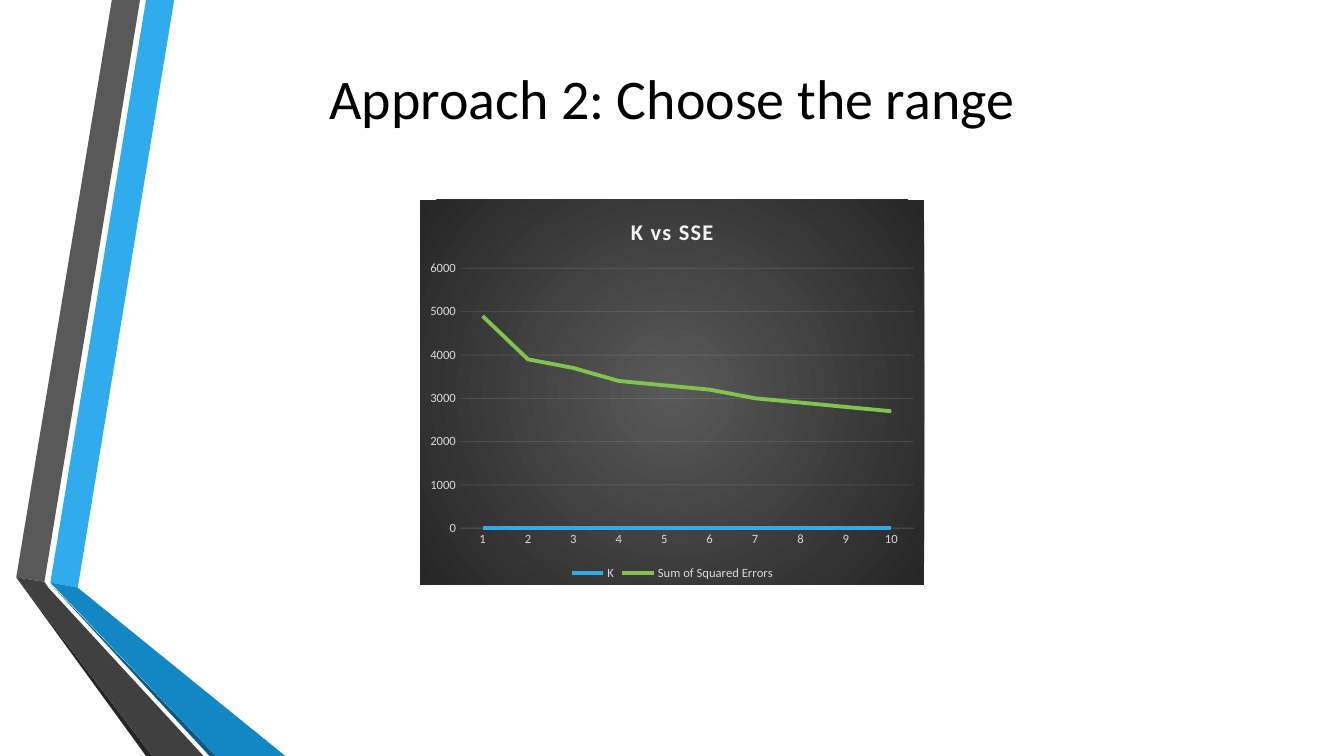
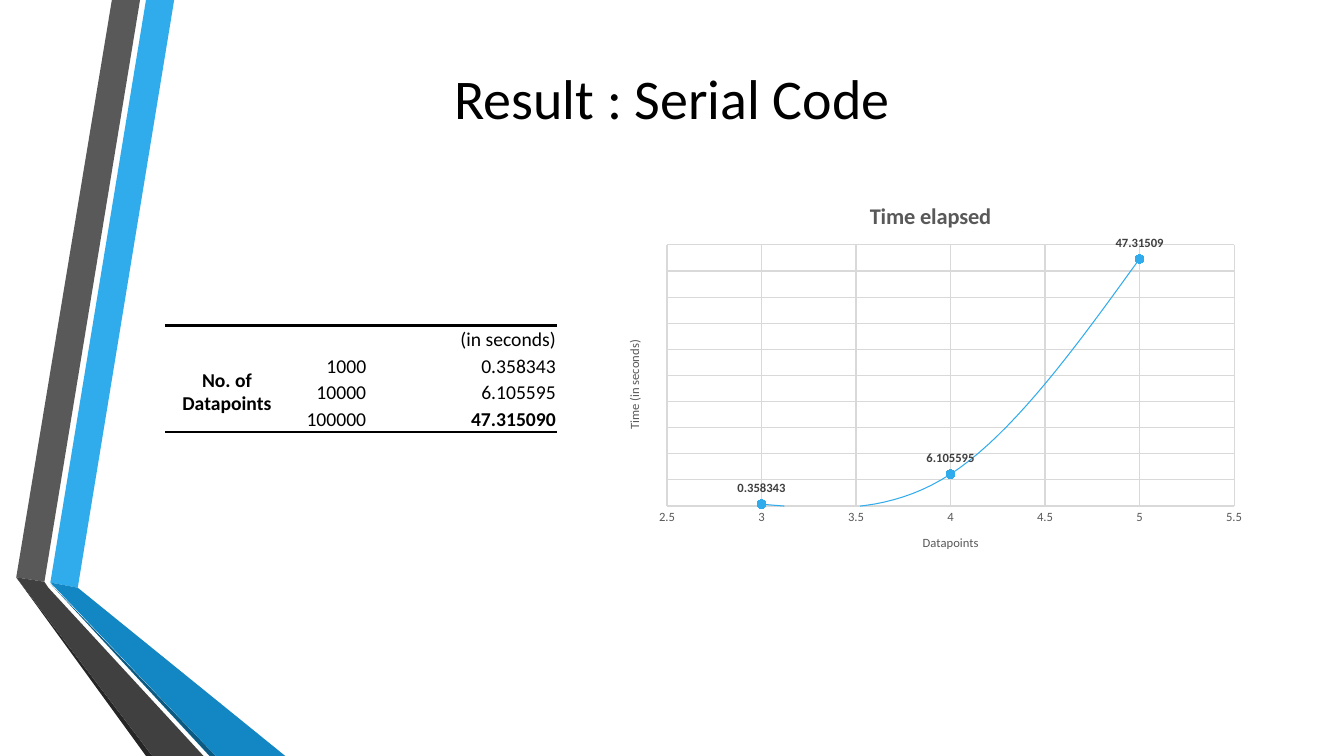
import pptx
import pptx.chart.data
import pptx.dml.color
import pptx.enum.chart
import pptx.enum.text
import pptx.oxml
import pptx.oxml.ns
import pptx.util
from lxml import etree

Cm = pptx.util.Cm
Pt = pptx.util.Pt
qn = pptx.oxml.ns.qn

FONT = "Calibri"
SLIDE_WIDTH, SLIDE_HEIGHT = 33.87, 19.05
NO_TABLE_STYLE = "{2D5ABB26-0587-4C30-8999-92F81FD0307C}"
COLORS = {
    "black": "000000", "white": "FFFFFF", "sky": "30ACEC", "blue": "1287C3",
    "navy": "0C5A82", "green": "80C34F", "marker": "27AFF5", "grey": "595959",
    "charcoal": "404040", "soot": "262626", "silver": "D9D9D9", "pale": "F2F2F2",
}
BANDS = [
    ("sky", [(1.27, 14.68), (1.96, 14.81), (4.39, 0), (3.68, 0)]),
    ("grey", [(3.53, 0), (2.82, 0), (0.41, 14.55), (1.12, 14.66)]),
    ("soot", [(0.41, 14.55), (3.68, 19.05), (3.84, 19.05)]),
    ("navy", [(1.27, 14.71), (5.28, 19.05), (5.44, 19.05)]),
    ("blue", [(1.27, 14.68), (5.44, 19.05), (7.19, 19.05), (1.96, 14.81)]),
    ("charcoal", [(5.13, 19.05), (1.22, 14.81), (1.12, 14.66), (0.41, 14.55),
                  (3.84, 19.05)]),
]


def rgb(name):
    """Return the named colour as an RGBColor."""
    return pptx.dml.color.RGBColor.from_string(COLORS[name])


def style_font(font, size, color, bold=False):
    """Set typeface, size, colour and weight of a font."""
    font.name = FONT
    font.size = Pt(size)
    font.bold = bold
    font.color.rgb = rgb(color)


def style_line(line, color, width):
    """Set colour and width of a line."""
    line.color.rgb = rgb(color)
    line.width = Pt(width)


def set_text(text_frame, text, size, color, bold=False):
    """Write one paragraph and format its run."""
    text_frame.text = text
    style_font(text_frame.paragraphs[0].runs[0].font, size, color, bold)


def add_bands(slide, layout):
    """Build the folded ribbons and place them on the shared layout."""
    for number, (color, points) in enumerate(BANDS):
        corners = [(Cm(x), Cm(y)) for x, y in points]
        builder = slide.shapes.build_freeform(*corners[0], scale=1.0)
        builder.add_line_segments(corners[1:], close=True)
        band = builder.convert_to_shape()
        band.name = f"Band {number + 1}"
        band.shadow.inherit = False
        band.fill.solid()
        band.fill.fore_color.rgb = rgb(color)
        band.line.fill.background()
        band.element.nvSpPr.cNvPr.set("id", str(100 + number))
        layout.shapes.element.append(band.element)


def add_titled_slide(presentation, layout, title):
    """Add a slide with the centred title across its top."""
    slide = presentation.slides.add_slide(layout)
    shape = slide.shapes.title
    shape.left, shape.top = Cm(0), Cm(0)
    shape.width, shape.height = Cm(SLIDE_WIDTH), Cm(4.88)
    set_text(shape.text_frame, title, 40, "black")
    shape.text_frame.vertical_anchor = pptx.enum.text.MSO_ANCHOR.MIDDLE
    shape.text_frame.paragraphs[0].alignment = pptx.enum.text.PP_ALIGN.CENTER
    return slide


def add_chart(slide, kind, box, data, title, color):
    """Add a chart with a bold title and small text in one colour."""
    chart = slide.shapes.add_chart(kind, *map(Cm, box), data).chart
    style_font(chart.font, 9, color)
    chart.has_title = True
    set_text(chart.chart_title.text_frame, title, 16,
             "pale" if color == "silver" else color, bold=True)
    chart.has_legend = False
    chart.plots[0].vary_by_categories = False
    return chart


def scale_axis(axis, low, high, step):
    """Fix the range of an axis and drop its tick marks."""
    axis.minimum_scale, axis.maximum_scale, axis.major_unit = low, high, step
    axis.major_tick_mark = pptx.enum.chart.XL_TICK_MARK.NONE


def show_gridlines(axis, color):
    """Draw thin major gridlines."""
    axis.has_major_gridlines = True
    style_line(axis.major_gridlines.format.line, color, 0.75)


def fill_chart_radially(chart, inner, outer):
    """Give the chart area a gradient from its centre outwards."""
    properties = pptx.oxml.parse_xml(
        f'<c:spPr {pptx.oxml.ns.nsdecls("c", "a")}><a:gradFill><a:gsLst>'
        f'<a:gs pos="0"><a:srgbClr val="{COLORS[inner]}"/></a:gs>'
        f'<a:gs pos="100000"><a:srgbClr val="{COLORS[outer]}"/></a:gs></a:gsLst>'
        '<a:path path="circle"><a:fillToRect l="50000" t="50000" r="50000" '
        'b="50000"/></a:path></a:gradFill><a:ln><a:noFill/></a:ln></c:spPr>')
    chart.element.find(qn("c:txPr")).addprevious(properties)


def add_error_chart(slide):
    """Add the dark line chart of squared errors for each K."""
    data = pptx.chart.data.CategoryChartData()
    data.categories = [str(k) for k in range(1, 11)]
    data.add_series("K", [0] * 10)
    data.add_series("Sum of Squared Errors",
                    [4900, 3900, 3700, 3400, 3300, 3200, 3000, 2900, 2800, 2700])
    chart = add_chart(slide, pptx.enum.chart.XL_CHART_TYPE.LINE,
                      (10.59, 5.03, 12.7, 9.7), data, "K vs SSE", "silver")
    for run_properties in chart.chart_title.element.iter(qn("a:rPr")):
        run_properties.set("spc", "100")
    chart.has_legend = True
    chart.legend.position = pptx.enum.chart.XL_LEGEND_POSITION.BOTTOM
    chart.legend.include_in_layout = False
    for series, color in zip(chart.plots[0].series, ("sky", "green")):
        series.smooth = False
        style_line(series.format.line, color, 2.75)
    scale_axis(chart.value_axis, 0, 6000, 1000)
    show_gridlines(chart.value_axis, "pale")
    chart.value_axis.format.line.fill.background()
    chart.category_axis.major_tick_mark = pptx.enum.chart.XL_TICK_MARK.NONE
    style_line(chart.category_axis.format.line, "pale", 0.75)
    for color in chart.element.xpath(f'.//a:ln//a:srgbClr[@val="{COLORS["pale"]}"]'):
        etree.SubElement(color, qn("a:alpha")).set("val", "10000")
    fill_chart_radially(chart, "grey", "soot")


def add_time_chart(slide):
    """Add the smooth scatter chart of elapsed time."""
    data = pptx.chart.data.XyChartData()
    times = data.add_series("Time elapsed")
    for x, y in ((3, 0.358343), (4, 6.105595), (5, 47.31509)):
        times.add_data_point(x, y)
    chart = add_chart(slide, pptx.enum.chart.XL_CHART_TYPE.XY_SCATTER_SMOOTH,
                      (15.27, 4.62, 16.36, 9.78), data, "Time elapsed", "grey")
    for smooth in chart.element.iter(qn("c:smooth")):
        smooth.set("val", "1")

    series = chart.plots[0].series[0]
    style_line(series.format.line, "sky", 0.75)
    series.marker.style = pptx.enum.chart.XL_MARKER_STYLE.CIRCLE
    series.marker.size = 6
    series.marker.format.fill.solid()
    series.marker.format.fill.fore_color.rgb = rgb("marker")
    style_line(series.marker.format.line, "sky", 0.75)
    for index in range(3):
        label = series.points[index].data_label
        style_font(label.font, 9, "charcoal", bold=True)
        label.position = pptx.enum.chart.XL_LABEL_POSITION.ABOVE

    scale_axis(chart.category_axis, 2.5, 5.5, 0.5)
    scale_axis(chart.value_axis, 0, 50, 5)
    for axis, title in ((chart.category_axis, "Datapoints"),
                        (chart.value_axis, "Time (in seconds)")):
        show_gridlines(axis, "silver")
        set_text(axis.axis_title.text_frame, title, 9, "grey")
    style_line(chart.category_axis.format.line, "silver", 1)
    for body in chart.value_axis.axis_title.element.iter(qn("a:bodyPr")):
        body.set("rot", "-5400000")
        body.set("vert", "horz")
    chart.value_axis.visible = False


def add_rule(cell, side):
    """Draw a 2 pt black rule on the top (T) or bottom (B) of a cell."""
    cell._tc.tcPr.insert(0, pptx.oxml.parse_xml(
        f'<a:ln{side} {pptx.oxml.ns.nsdecls("a")} w="25400"><a:solidFill>'
        f'<a:srgbClr val="{COLORS["black"]}"/></a:solidFill></a:ln{side}>'))


def fill_cell(cell, text, centered):
    """Format a table cell and write its text."""
    cell.fill.solid()
    cell.fill.fore_color.rgb = rgb("white")
    cell.margin_left = cell.margin_right = cell.margin_top = Cm(0.02)
    cell.margin_bottom = Cm(0)
    anchor = pptx.enum.text.MSO_ANCHOR
    cell.vertical_anchor = anchor.MIDDLE if centered else anchor.BOTTOM
    if text:
        bold = text in ("No. of Datapoints", "47.315090")
        set_text(cell.text_frame, text, 14, "black", bold)
        align = pptx.enum.text.PP_ALIGN
        cell.text_frame.paragraphs[0].alignment = (
            align.CENTER if centered else align.RIGHT)


def add_time_table(slide):
    """Add the table of times between two heavy rules."""
    rows = [("", "", "(in seconds)"),
            ("No. of Datapoints", "1000", "0.358343"),
            ("", "10000", "6.105595"),
            ("", "100000", "47.315090")]
    frame = slide.shapes.add_table(4, 3, Cm(4.17), Cm(8.2), Cm(9.86), Cm(2.68))
    table = frame.table
    table.first_row = table.horz_banding = False
    for style in frame.element.iter(qn("a:tableStyleId")):
        style.text = NO_TABLE_STYLE
    for column, width in zip(table.columns, (3.1, 1.98, 4.78)):
        column.width = Cm(width)
    for row_index, row in enumerate(rows):
        table.rows[row_index].height = Cm(0.67)
        for column_index, text in enumerate(row):
            fill_cell(table.cell(row_index, column_index), text, column_index == 0)
    table.cell(1, 0).merge(table.cell(3, 0))
    for column_index in range(3):
        add_rule(table.cell(0, column_index), "T")
        add_rule(table.cell(3, column_index), "B")
    add_rule(table.cell(1, 0), "B")
    for paragraph in frame.element.iter(qn("a:p")):
        etree.SubElement(paragraph, qn("a:endParaRPr")).set("sz", "1400")


def main():
    """Build and save the two slides."""
    presentation = pptx.Presentation()
    presentation.slide_width = Cm(SLIDE_WIDTH)
    presentation.slide_height = Cm(SLIDE_HEIGHT)
    layout = presentation.slide_layouts.get_by_name("Title Only")

    range_slide = add_titled_slide(presentation, layout, "Approach 2: Choose the range")
    add_bands(range_slide, layout)
    add_error_chart(range_slide)

    result_slide = add_titled_slide(presentation, layout, "Result : Serial Code")
    add_time_chart(result_slide)
    add_time_table(result_slide)
    presentation.save("out.pptx")


main()
